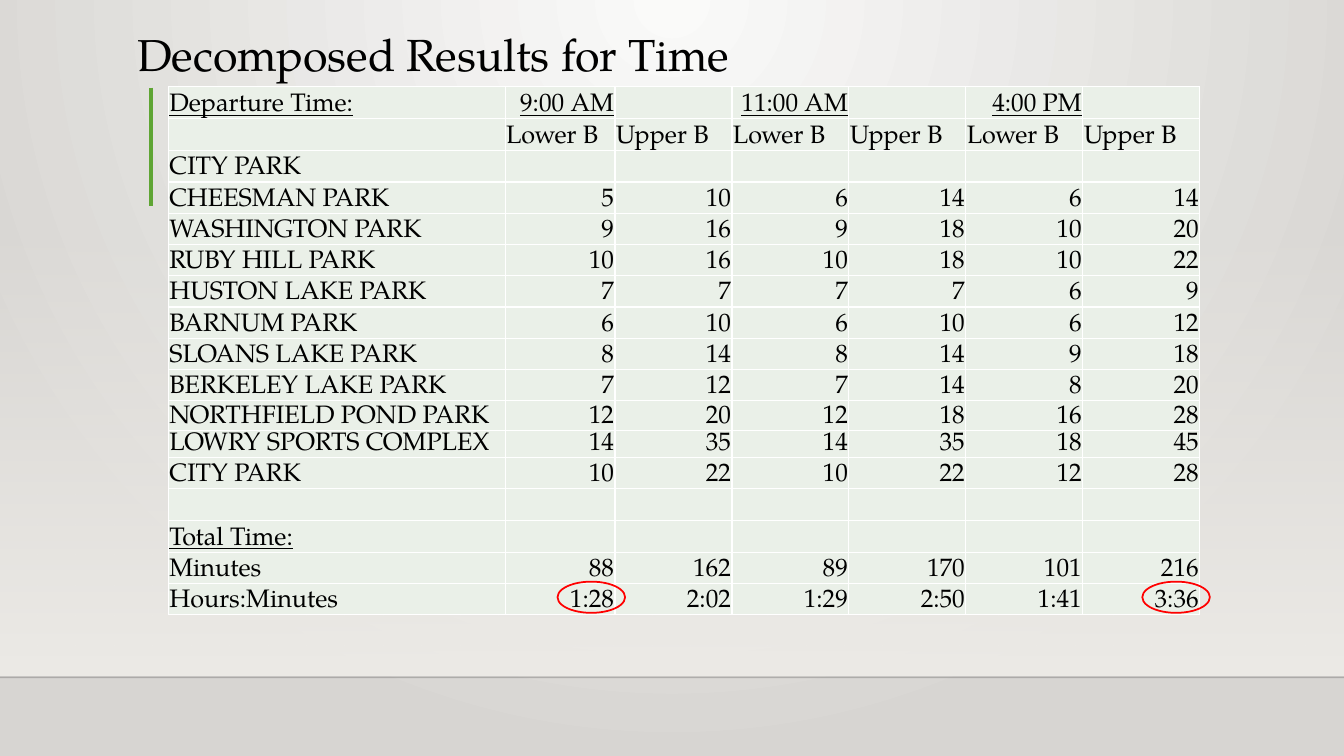
from lxml import etree
from pptx import Presentation
from pptx.dml.color import RGBColor
from pptx.enum.shapes import MSO_CONNECTOR, MSO_SHAPE
from pptx.enum.text import MSO_ANCHOR, MSO_AUTO_SIZE, PP_ALIGN
from pptx.oxml.ns import qn
from pptx.util import Emu, Pt

STRAIGHT = MSO_CONNECTOR.STRAIGHT
RECTANGLE, OVAL = MSO_SHAPE.RECTANGLE, MSO_SHAPE.OVAL
BOTTOM = MSO_ANCHOR.BOTTOM
LEFT, RIGHT = PP_ALIGN.LEFT, PP_ALIGN.RIGHT
NO_AUTOFIT = MSO_AUTO_SIZE.NONE

FONT = "TeX Gyre Pagella"
PX = 9144  # 100 px to the inch
SLIDE_W, SLIDE_H = 1333, 750

COLUMN_WIDTHS = [334, 109] + [116] * 5
ROW_HEIGHTS = [31] * 10 + [30, 25] + [31] * 5
TABLE_HEIGHT = 522
UNDERLINED_ROWS = ("Departure Time:", "Total Time:")
BLANK = [""] * 6
TRAVEL_TIMES = [
    ("Departure Time:", ["9:00 AM", "", "11:00 AM", "", "4:00 PM", ""]),
    ("", ["Lower B", "Upper B"] * 3),
    ("CITY PARK", BLANK),
    ("CHEESMAN PARK", [5, 10, 6, 14, 6, 14]),
    ("WASHINGTON PARK", [9, 16, 9, 18, 10, 20]),
    ("RUBY HILL PARK", [10, 16, 10, 18, 10, 22]),
    ("HUSTON LAKE PARK", [7, 7, 7, 7, 6, 9]),
    ("BARNUM PARK", [6, 10, 6, 10, 6, 12]),
    ("SLOANS LAKE PARK", [8, 14, 8, 14, 9, 18]),
    ("BERKELEY LAKE PARK", [7, 12, 7, 14, 8, 20]),
    ("NORTHFIELD POND PARK", [12, 20, 12, 18, 16, 28]),
    ("LOWRY SPORTS COMPLEX", [14, 35, 14, 35, 18, 45]),
    ("CITY PARK", [10, 22, 10, 22, 12, 28]),
    ("", BLANK),
    ("Total Time:", BLANK),
    ("Minutes", [88, 162, 89, 170, 101, 216]),
    ("Hours:Minutes", ["1:28", "2:02", "1:29", "2:50", "1:41", "3:36"]),
]


def px(*lengths):
    return [Emu(length * PX) for length in lengths]


def color(hex_string):
    return RGBColor.from_string(hex_string)


def set_opacity(element, percent):
    """Give the first colour inside the element an alpha value."""
    rgb = element.find(".//" + qn("a:srgbClr"))
    etree.SubElement(rgb, qn("a:alpha")).set("val", str(percent * 1000))


def set_gradient(fill, start, end):
    fill.gradient()
    for stop, hex_string, position in zip(fill.gradient_stops, (start, end), (0, 1)):
        stop.color.rgb = color(hex_string)
        stop.position = position


def style_font(font, size, underline=False):
    font.name = FONT
    font.size = Pt(size)
    font.underline = underline
    font.color.rgb = color("000000")


def paint_background(slide):
    """Light spot at the top centre, darkening outwards."""
    set_gradient(slide.background.fill, "FAFAF9", "D7D5D2")
    gradient = slide.element.find(".//" + qn("a:gradFill"))
    gradient.remove(gradient.find(qn("a:lin")))
    circle = etree.SubElement(gradient, qn("a:path"), path="circle")
    etree.SubElement(circle, qn("a:fillToRect"), l="43000", t="0", r="43000", b="100000")


def add_wall_shade(slide):
    """Band that fades in towards the floor line."""
    shade = slide.shapes.add_shape(RECTANGLE, *px(0, 220, SLIDE_W, 450))
    shade.shadow.inherit = False
    shade.line.fill.background()
    set_gradient(shade.fill, "EDEBE7", "EDEBE7")
    shade.fill.gradient_angle = 270
    set_opacity(shade.element, 0)


def add_rule(slide, ends, hex_string, width):
    rule = slide.shapes.add_connector(STRAIGHT, *px(*ends))
    rule.line.color.rgb = color(hex_string)
    rule.line.width = Pt(width)
    etree.SubElement(rule.element.spPr, qn("a:effectLst"))
    return rule


def set_title(slide, text):
    title = slide.shapes.title
    title.left, title.top, title.width, title.height = px(126, -29, 1041, 115)
    frame = title.text_frame
    frame.text = text
    frame.auto_size = NO_AUTOFIT
    frame.vertical_anchor = BOTTOM
    heading = frame.paragraphs[0]
    heading.alignment = LEFT
    heading.line_spacing = 0.9
    style_font(heading.runs[0].font, 32)


def fill_cell(cell, text, alignment, underline):
    cell.fill.solid()
    cell.fill.fore_color.rgb = color("EAF0E8")
    cell.vertical_anchor = BOTTOM
    cell.margin_left, cell.margin_top, cell.margin_right, cell.margin_bottom = px(1, 1, 1, 0)
    cell.text = text
    paragraph = cell.text_frame.paragraphs[0]
    paragraph.alignment = alignment
    for run in paragraph.runs:
        style_font(run.font, 18, underline)
    if not text:
        etree.SubElement(paragraph._p, qn("a:endParaRPr"), sz="1800")


def add_times_table(slide):
    frame = slide.shapes.add_table(
        len(TRAVEL_TIMES), len(COLUMN_WIDTHS), *px(167, 86, sum(COLUMN_WIDTHS), TABLE_HEIGHT))
    table = frame.table
    table.first_row = table.horz_banding = False
    for column, width in zip(table.columns, px(*COLUMN_WIDTHS)):
        column.width = width
    for row, height in zip(table.rows, px(*ROW_HEIGHTS)):
        row.height = height
    frame.height = Emu(TABLE_HEIGHT * PX)
    for row, (label, times) in zip(table.rows, TRAVEL_TIMES):
        underline = label in UNDERLINED_ROWS
        for index, value in enumerate([label, *times]):
            text = str(value)
            alignment = LEFT if index == 0 or text.endswith(" B") else RIGHT
            fill_cell(row.cells[index], text, alignment, underline)


def add_highlight(slide, left):
    ring = slide.shapes.add_shape(OVAL, *px(left, 577, 67, 31))
    ring.shadow.inherit = False
    ring.fill.background()
    ring.line.color.rgb = color("FF0000")
    ring.line.width = Pt(1.25)


def main():
    prs = Presentation()
    prs.slide_width, prs.slide_height = px(SLIDE_W, SLIDE_H)
    slide = prs.slides.add_slide(prs.slide_layouts[5])

    # Backdrop
    paint_background(slide)
    add_wall_shade(slide)
    floor_line = add_rule(slide, (0, 672, SLIDE_W, 672), "000001", 1)
    set_opacity(floor_line.element, 20)
    add_rule(slide, (150, 87, 150, 204), "5FA534", 3)

    # Content
    set_title(slide, "Decomposed Results for Time")
    add_times_table(slide)

    # Shortest and longest total
    for left in (553, 1133):
        add_highlight(slide, left)

    prs.save("out.pptx")


if __name__ == "__main__":
    main()
